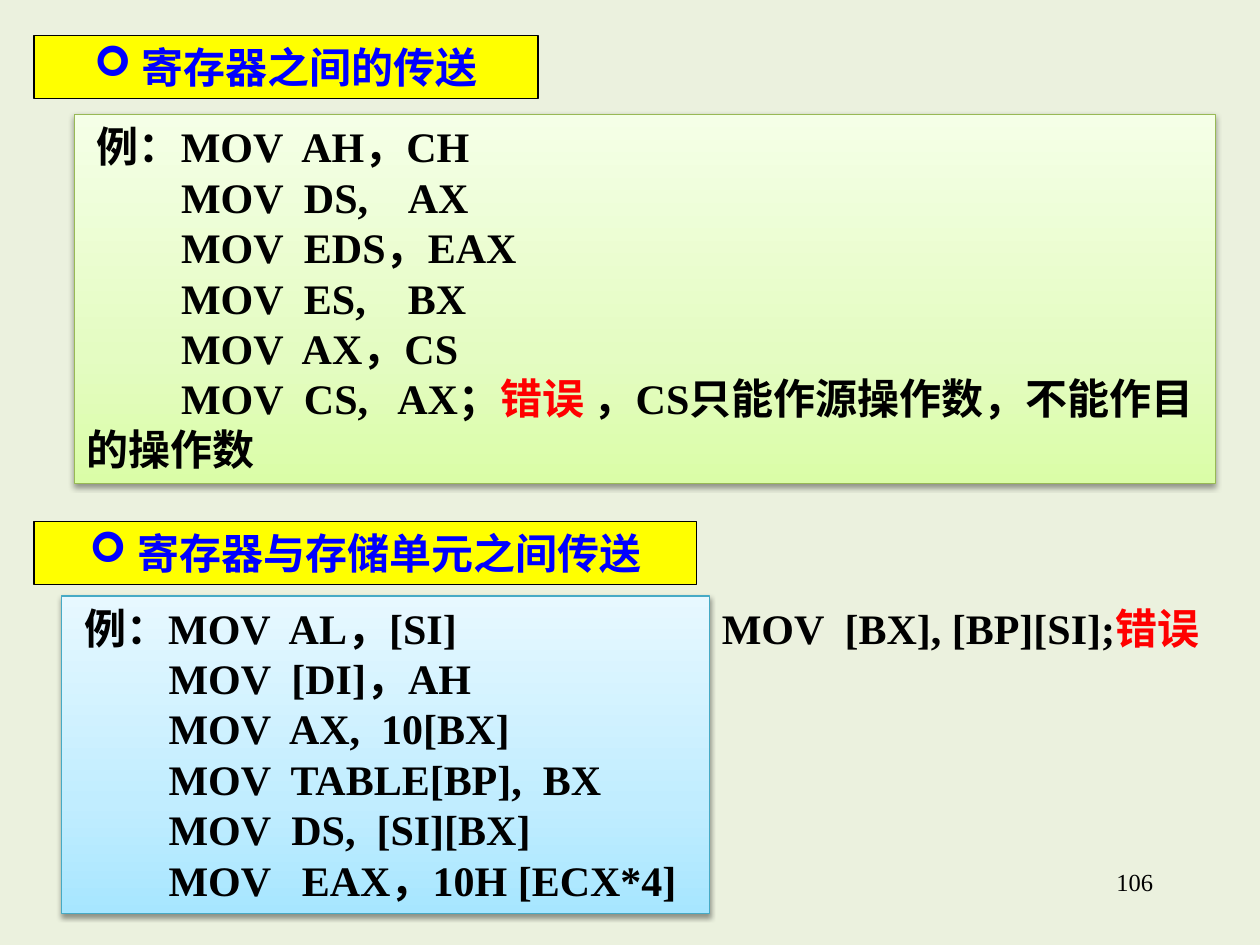
from pptx import Presentation, oxml
from pptx import util as u
from pptx.dml.color import RGBColor
from pptx.enum import shapes, text
from pptx.oxml import ns

WIDTH, HEIGHT = 10, 7.5
FONT = "Times New Roman"
BLACK, RED, BLUE, YELLOW = "000000", "FF0000", "0000FF", "FFFF00"
GREEN_STOPS = [(0, "DAFDA7"), (35, "E4FCC2"), (100, "F5FFE7")]
CYAN_STOPS = [(0, "A7E6FF"), (35, "C1EDFF"), (100, "E7F8FF")]

REGISTER_MOVES = [
    [("例：MOV  AH，CH", BLACK)],
    [("         MOV  DS,    AX", BLACK)],
    [("         MOV  EDS，EAX", BLACK)],
    [("         MOV  ES,    BX", BLACK)],
    [("         MOV  AX，CS", BLACK)],
    [("         MOV  CS,   AX；", BLACK), ("错误 ", RED),
     ("，CS只能作源操作数，不能作目的操作数", BLACK)],
]
MEMORY_MOVES = [
    [("例：MOV  AL，[SI]", BLACK)],
    [("         MOV  [DI]，AH", BLACK)],
    [("         MOV  AX,  10[BX]", BLACK)],
    [("         MOV  TABLE[BP],  BX", BLACK)],
    [("         MOV  DS,  [SI][BX]", BLACK)],
    [("         MOV   EAX，10H [ECX*4]", BLACK)],
]
INVALID_MOVE = [[("MOV  [BX], [BP][SI];", BLACK), ("错误", RED)]]


def color(value):
    return RGBColor.from_string(value)


def place(left, top, width, height):
    shares = (left / WIDTH, top / HEIGHT, width / WIDTH, height / HEIGHT)
    sizes = (WIDTH, HEIGHT, WIDTH, HEIGHT)
    return [u.Inches(share * size) for share, size in zip(shares, sizes)]


def element(markup):
    head, tail = markup.split(" ", 1)
    return oxml.parse_xml(f"{head} {ns.nsdecls('a')} {tail}")


def indent(para, margin, first_line):
    properties = para._p.get_or_add_pPr()
    properties.set("marL", str(u.Inches(margin)))
    properties.set("indent", str(u.Inches(first_line)))
    return properties


def write(box, lines, size=24, bold=True, align=text.PP_ALIGN.LEFT):
    frame = box.text_frame
    frame.word_wrap = True
    frame.vertical_anchor = text.MSO_ANCHOR.TOP
    for index, line in enumerate(lines):
        para = frame.add_paragraph() if index else frame.paragraphs[0]
        para.alignment = align
        for words, shade in line:
            span = para.add_run()
            span.text = words
            span.font.name = FONT
            span.font.size = u.Pt(size)
            span.font.bold = bold
            span.font.color.rgb = color(shade)
    return frame


def add_panel(page, area, line):
    box = page.shapes.add_shape(shapes.MSO_SHAPE.RECTANGLE, *place(*area))
    box.shadow.inherit = False
    box.line.color.rgb = color(line)
    box.line.width = u.Pt(0.75)
    return box


def add_heading(page, area, words):
    box = add_panel(page, area, BLACK)
    box.fill.solid()
    box.fill.fore_color.rgb = color(YELLOW)
    frame = write(box, [[(words, BLUE)]], align=text.PP_ALIGN.CENTER)
    properties = indent(frame.paragraphs[0], 0.38, -0.38)
    properties.append(element('<a:buFont typeface="Wingdings"/>'))
    properties.append(element('<a:buChar char="➢"/>'))


def add_code_panel(page, area, line, stops, lines):
    box = add_panel(page, area, line)
    box.fill.gradient()
    box.fill.gradient_angle = 90
    drawing = box._element.spPr
    stop_list = drawing.find(".//" + ns.qn("a:gsLst"))
    for stop in list(stop_list):
        stop_list.remove(stop)
    for position, shade in stops:
        stop_list.append(element(
            f'<a:gs pos="{position * 1000}"><a:srgbClr val="{shade}"/></a:gs>'))
    drawing.find(ns.qn("a:effectLst")).append(element(
        f'<a:outerShdw blurRad="{u.Pt(3.1)}" dist="{u.Pt(1.6)}" dir="5400000" rotWithShape="0">'
        '<a:srgbClr val="000000"><a:alpha val="38000"/></a:srgbClr></a:outerShdw>'))
    frame = write(box, lines)
    indent(frame.paragraphs[0], 0, 0.08)


def add_text(page, area, lines, **style):
    write(page.shapes.add_textbox(*place(*area)), lines, **style)


def main():
    deck = Presentation()
    deck.slide_width, deck.slide_height = u.Inches(WIDTH), u.Inches(HEIGHT)
    page = deck.slides.add_slide(deck.slide_layouts[6])
    page.background.fill.solid()
    page.background.fill.fore_color.rgb = color("EBF1DE")

    add_text(page, (7.17, 6.83, 2.08, 0.5), [[("106", BLACK)]],
             size=14, bold=False, align=text.PP_ALIGN.RIGHT)
    add_heading(page, (0.27, 0.28, 4, 0.5), "寄存器之间的传送")
    add_code_panel(page, (0.59, 0.91, 9.06, 2.93), "98B955", GREEN_STOPS, REGISTER_MOVES)
    add_heading(page, (0.27, 4.14, 5.26, 0.5), "寄存器与存储单元之间传送")
    add_code_panel(page, (0.49, 4.73, 5.14, 2.52), "46AAC5", CYAN_STOPS, MEMORY_MOVES)
    add_text(page, (5.63, 4.73, 4.25, 0.5), INVALID_MOVE)
    deck.save("out.pptx")


if __name__ == "__main__":
    main()
